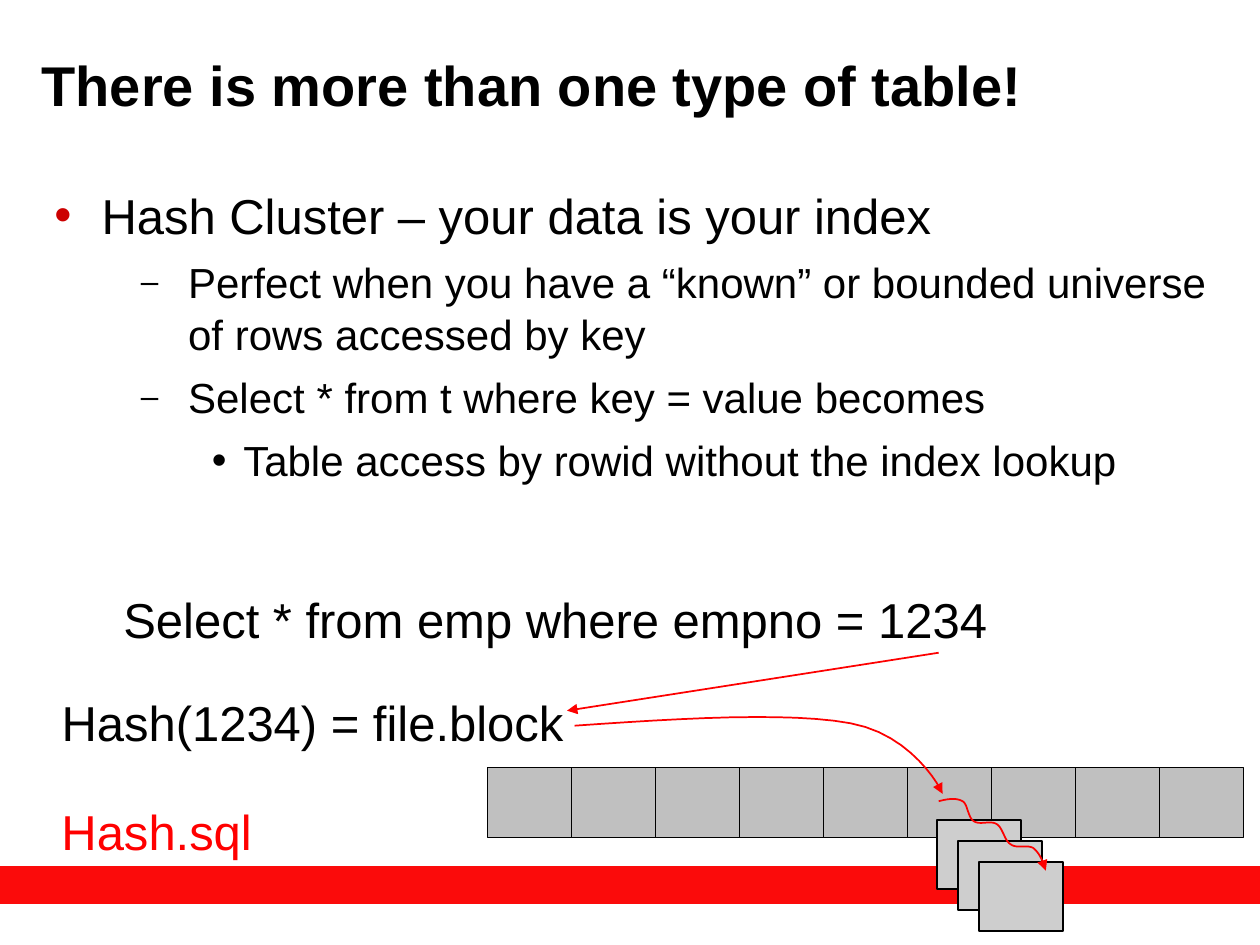
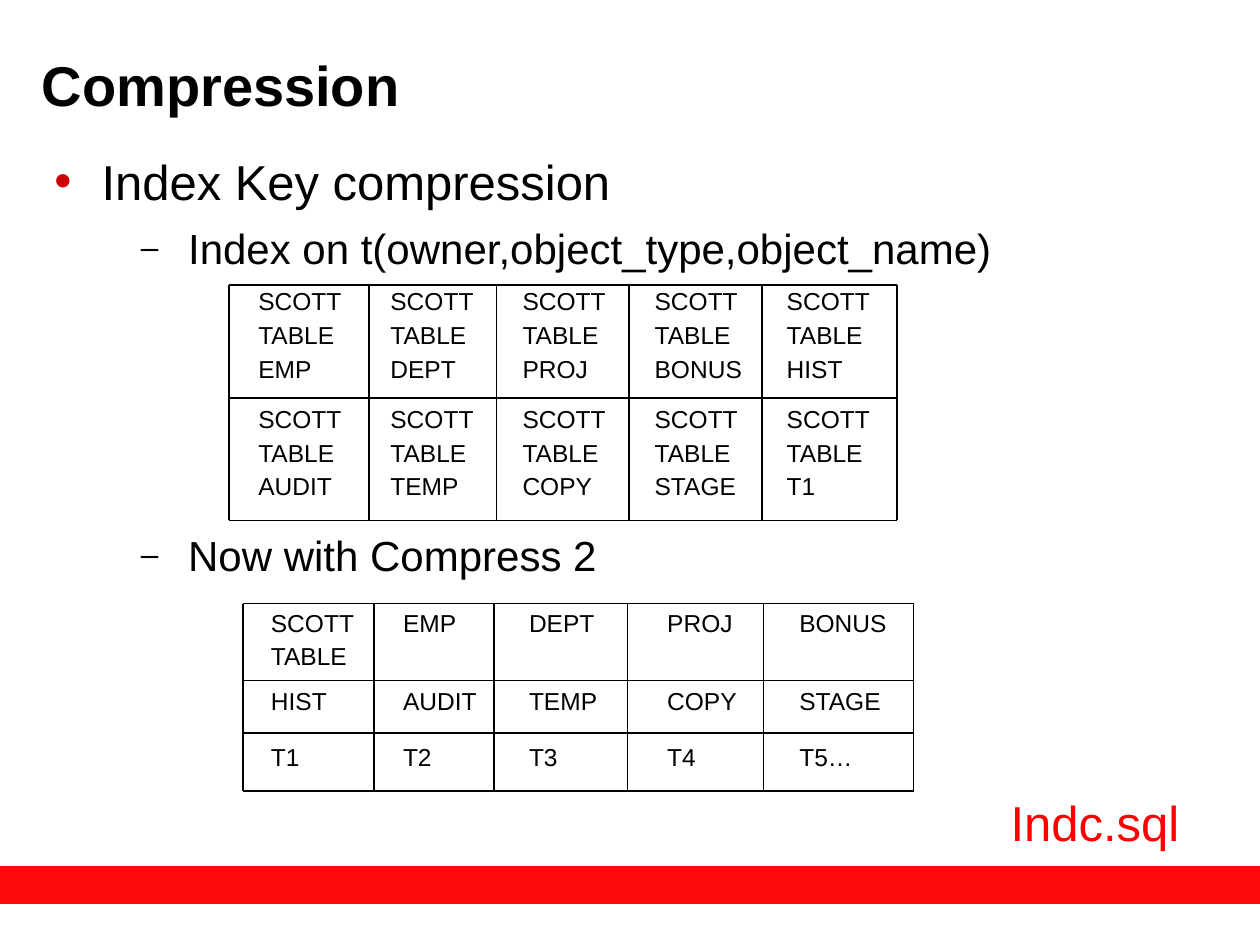
from lxml import etree
from pptx import Presentation
from pptx import util as u
from pptx.dml.color import RGBColor
from pptx.enum import shapes, text
from pptx.oxml.ns import qn

FONT = "Arial"
BLACK, RED, ARROW_RED, BAND_RED, BULLET_RED = "000000", "FF0000", "FD0000", "FB0B0B", "CC0000"
BUCKET_GREY, BLOCK_GREY = "C0C0C0", "CECECE"
NO_STYLE = "{2D5ABB26-0587-4C30-8999-92F81FD0307C}"

BULLETS = [
    dict(char="•", color=BULLET_RED, percent=100, left=27, hang=27, size=28, before=7, spacing=1.0),
    dict(char="–", color=BLACK, percent=75, left=76.5, hang=27, size=24, before=6, spacing=1.04),
    dict(char="•", color=BLACK, percent=100, left=108, hang=18, size=24, before=6, spacing=1.04),
]

HASH_TITLE = "There is more than one type of table!"
HASH_POINTS = [
    (0, "Hash Cluster – your data is your index"),
    (1, "Perfect when you have a “known” or bounded universe of rows accessed by key"),
    (1, "Select * from t where key = value becomes"),
    (2, "Table access by rowid without the index lookup"),
]
HASH_LABELS = [
    ("Select * from emp where empno = 1234", BLACK, (63.4, 333.4, 507.6, 41)),
    ("Hash(1234) = file.block", BLACK, (28, 392.4, 301, 41)),
    ("Hash.sql", RED, (28, 454.3, 123, 41)),
]
KEY_TO_HASH = (536.4, 373, 324, 406.1)
HASH_TO_BUCKET = [
    (328.3, 414.7), (389.5, 410.4), (450.7, 406.8), (486, 413.3),
    (521.3, 419.8), (537.8, 450.7), (538.6, 453.6),
]
BUCKET_TO_BLOCK = [
    (536.4, 457.9), (541.4, 456.5), (546.5, 455.8), (550.1, 457.9),
    (553, 459.4), (553, 467.3), (556.6, 469.4),
    (560.2, 471.6), (565.9, 468.7), (569.5, 470.9),
    (573.1, 473), (573.8, 480.2), (577.4, 482.4),
    (581, 485.3), (586.8, 482.4), (590.4, 484.6),
    (594, 487.4), (596.2, 492.5), (597.6, 497.5),
]
BUCKET_COUNT, BLOCK_COUNT = 9, 3

COMPRESSION_TITLE = "Compression"
COMPRESSION_POINTS = [
    (0, "Index Key compression"),
    (1, "Index on t(owner,object_type,object_name)"),
    (1, "Now with Compress 2"),
]
GAP_FOR_FULL_KEYS = 145
COMPRESSION_LABEL = ("Indc.sql", RED, (570.2, 449.3, 110.9, 41))
OBJECT_NAMES = [
    ["EMP", "DEPT", "PROJ", "BONUS", "HIST"],
    ["AUDIT", "TEMP", "COPY", "STAGE", "T1"],
]
FULL_KEYS = dict(
    rows=[[f"SCOTT\nTABLE\n{name}" for name in row] for row in OBJECT_NAMES],
    left=140.4, top=161.3, widths=[75.5] * 5, heights=[67.2] * 2,
    rules_x=[131, 211, 283.7, 359.3, 435.6, 512.6], rules_y=[162.7, 227.5, 297.4],
)
COMPRESSED_KEYS = dict(
    rows=[
        ["SCOTT\nTABLE", "EMP", "DEPT", "PROJ", "BONUS"],
        ["HIST", "AUDIT", "TEMP", "COPY", "STAGE"],
        ["T1", "T2", "T3", "T4", "T5…"],
    ],
    left=147.6, top=344.9, widths=[75.5, 72, 79, 75.5, 75.5], heights=[44.6, 32, 32],
    rules_x=[139, 213.8, 282.2, 358.6, 436.3, 522], rules_y=[344.9, 388.8, 419, 452.2],
)


def color(code):
    return RGBColor.from_string(code)


def points(*lengths):
    return [u.Pt(length) for length in lengths]


def style_runs(para, size, code=BLACK, bold=False):
    for span in para.runs:
        span.font.name = FONT
        span.font.size = u.Pt(size)
        span.font.bold = bold
        span.font.color.rgb = color(code)


def place(box, area):
    box.left, box.top, box.width, box.height = points(*area)


def add_box(page, area, fill, line):
    box = page.shapes.add_shape(shapes.MSO_SHAPE.RECTANGLE, *points(*area))
    box.shadow.inherit = False
    box.fill.solid()
    box.fill.fore_color.rgb = color(fill)
    box.line.color.rgb = color(line)
    box.line.width = u.Pt(1)
    return box


def add_arrowhead(stroke):
    line = stroke.line._get_or_add_ln()
    etree.SubElement(line, qn("a:tailEnd"), type="triangle")


def add_line(page, ends, code):
    line = page.shapes.add_connector(shapes.MSO_CONNECTOR.STRAIGHT, *points(*ends))
    line.line.color.rgb = color(code)
    line.line.width = u.Pt(1)
    etree.SubElement(line.element.spPr, qn("a:effectLst"))
    return line


def trace_curve(anchors, steps=12):
    trail = [anchors[0]]
    for first in range(0, len(anchors) - 1, 3):
        segment = anchors[first:first + 4]
        for step in range(1, steps + 1):
            t = step / steps
            weights = ((1 - t) ** 3, 3 * t * (1 - t) ** 2, 3 * t * t * (1 - t), t ** 3)
            trail.append(tuple(
                sum(weight * anchor[axis] for weight, anchor in zip(weights, segment))
                for axis in (0, 1)))
    return trail


def add_curved_arrow(page, anchors):
    trail = [points(*spot) for spot in trace_curve(anchors)]
    builder = page.shapes.build_freeform(*trail[0])
    builder.add_line_segments(trail[1:], close=False)
    curve = builder.convert_to_shape()
    curve.shadow.inherit = False
    curve.fill.background()
    curve.line.color.rgb = color(ARROW_RED)
    curve.line.width = u.Pt(1)
    add_arrowhead(curve)


def add_label(page, wording, code, area):
    box = page.shapes.add_textbox(*points(*area))
    frame = box.text_frame
    frame.text = wording
    frame.word_wrap = False
    frame.auto_size = text.MSO_AUTO_SIZE.SHAPE_TO_FIT_TEXT
    frame.paragraphs[0].alignment = text.PP_ALIGN.CENTER
    style_runs(frame.paragraphs[0], 28, code)


def add_bullet(para, look):
    props = para._p.get_or_add_pPr()
    props.set("marL", str(u.Pt(look["left"])))
    props.set("indent", str(-u.Pt(look["hang"])))
    tint = etree.SubElement(props, qn("a:buClr"))
    etree.SubElement(tint, qn("a:srgbClr"), val=look["color"])
    etree.SubElement(props, qn("a:buSzPct"), val=str(look["percent"] * 1000))
    etree.SubElement(props, qn("a:buFont"), typeface=FONT)
    etree.SubElement(props, qn("a:buChar"), char=look["char"])


def add_page(deck, title, bullets, body_area):
    page = deck.slides.add_slide(deck.slide_layouts[1])
    heading, body = page.placeholders
    place(heading, (23.8, 30.2, 677.5, 41.8))
    frame = heading.text_frame
    frame.text = title
    frame.auto_size = text.MSO_AUTO_SIZE.NONE
    frame.vertical_anchor = text.MSO_ANCHOR.MIDDLE
    frame.margin_left = frame.margin_right = frame.margin_top = frame.margin_bottom = 0
    frame.paragraphs[0].alignment = text.PP_ALIGN.LEFT
    frame.paragraphs[0].line_spacing = 0.85
    style_runs(frame.paragraphs[0], 32, bold=True)

    place(body, body_area)
    frame = body.text_frame
    frame.text = "\n".join(wording for _, wording in bullets)
    frame.auto_size = text.MSO_AUTO_SIZE.NONE
    for number, (para, (level, _)) in enumerate(zip(frame.paragraphs, bullets)):
        look = BULLETS[level]
        add_bullet(para, look)
        para.level = level
        para.line_spacing = look["spacing"]
        para.space_before = u.Pt(look["before"] if number else 0)
        style_runs(para, look["size"])
    return page


def add_ruled_table(page, rows, left, top, widths, heights, rules_x, rules_y):
    area = points(left, top, sum(widths), sum(heights))
    holder = page.shapes.add_table(len(rows), len(widths), *area)
    table = holder.table
    table.first_row = table.horz_banding = False
    holder.element.find(".//" + qn("a:tableStyleId")).text = NO_STYLE
    for column, width in zip(table.columns, widths):
        column.width = u.Pt(width)
    for line, height in zip(table.rows, heights):
        line.height = u.Pt(height)
    for line, wordings in zip(table.rows, rows):
        for cell, wording in zip(line.cells, wordings):
            cell.fill.background()
            cell.text_frame.text = wording
            for number, para in enumerate(cell.text_frame.paragraphs):
                para.space_before = u.Pt(3.5 if number else 0)
                style_runs(para, 14)
    for y in rules_y:
        add_line(page, (rules_x[0], y, rules_x[-1], y), BLACK)
    for x in rules_x:
        add_line(page, (x, rules_y[0], x, rules_y[-1]), BLACK)


def add_band(page):
    add_box(page, (0, 495.4, 720, 20.9), BAND_RED, BAND_RED)


def build_hash_page(deck):
    page = add_page(deck, HASH_TITLE, HASH_POINTS, (23.8, 102.2, 684, 229.7))
    add_band(page)
    for label in HASH_LABELS:
        add_label(page, *label)
    add_arrowhead(add_line(page, KEY_TO_HASH, ARROW_RED))
    for bucket in range(BUCKET_COUNT):
        add_box(page, (278.6 + 48 * bucket, 438.6, 48, 40), BUCKET_GREY, BLACK)
    add_curved_arrow(page, HASH_TO_BUCKET)
    for block in range(BLOCK_COUNT):
        add_box(page, (535.5 + 12 * block, 468.6 + 12 * block, 48, 39.6), BLOCK_GREY, BLACK)
    add_curved_arrow(page, BUCKET_TO_BLOCK)


def build_compression_page(deck):
    page = add_page(deck, COMPRESSION_TITLE, COMPRESSION_POINTS, (23.8, 83, 684, 385))
    add_band(page)
    page.placeholders[1].text_frame.paragraphs[-1].space_before = u.Pt(GAP_FOR_FULL_KEYS)
    add_ruled_table(page, **FULL_KEYS)
    add_ruled_table(page, **COMPRESSED_KEYS)
    add_label(page, *COMPRESSION_LABEL)


def main():
    deck = Presentation()
    deck.slide_width, deck.slide_height = points(720, 540)
    build_hash_page(deck)
    build_compression_page(deck)
    deck.save("out.pptx")


if __name__ == "__main__":
    main()
